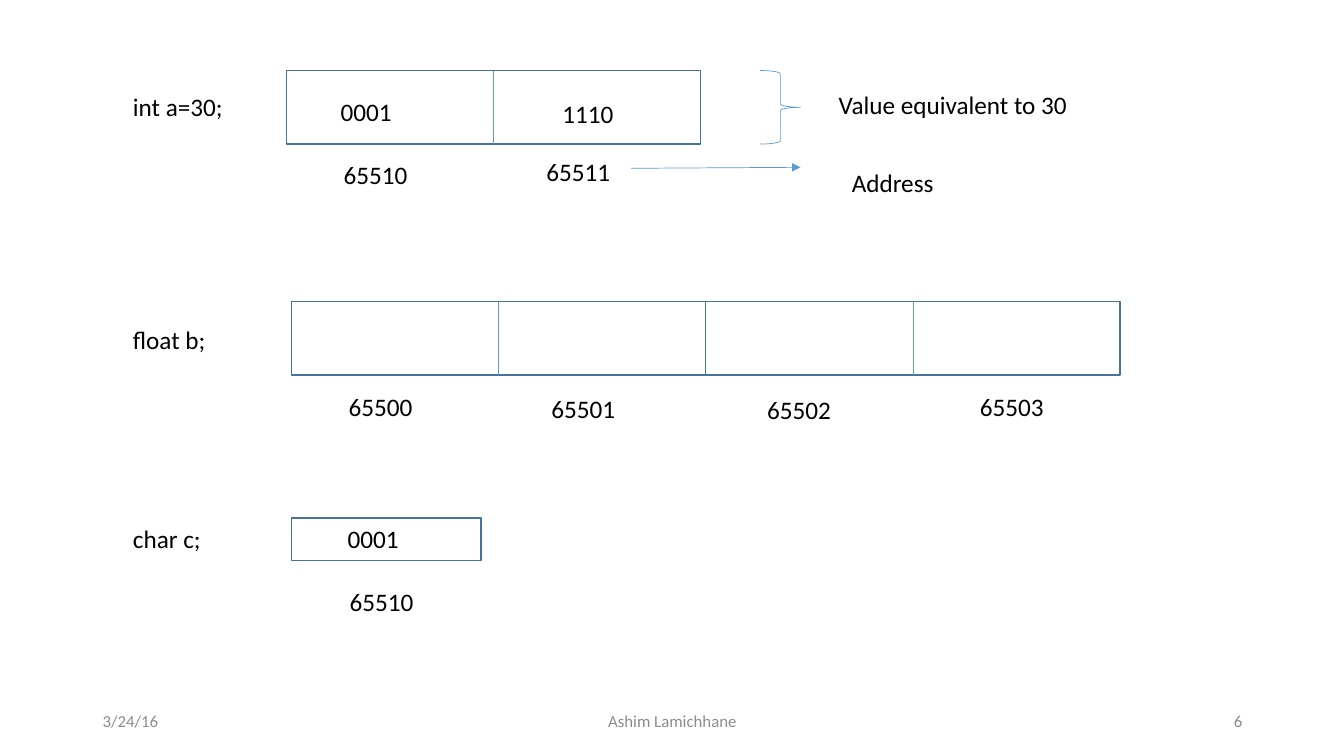
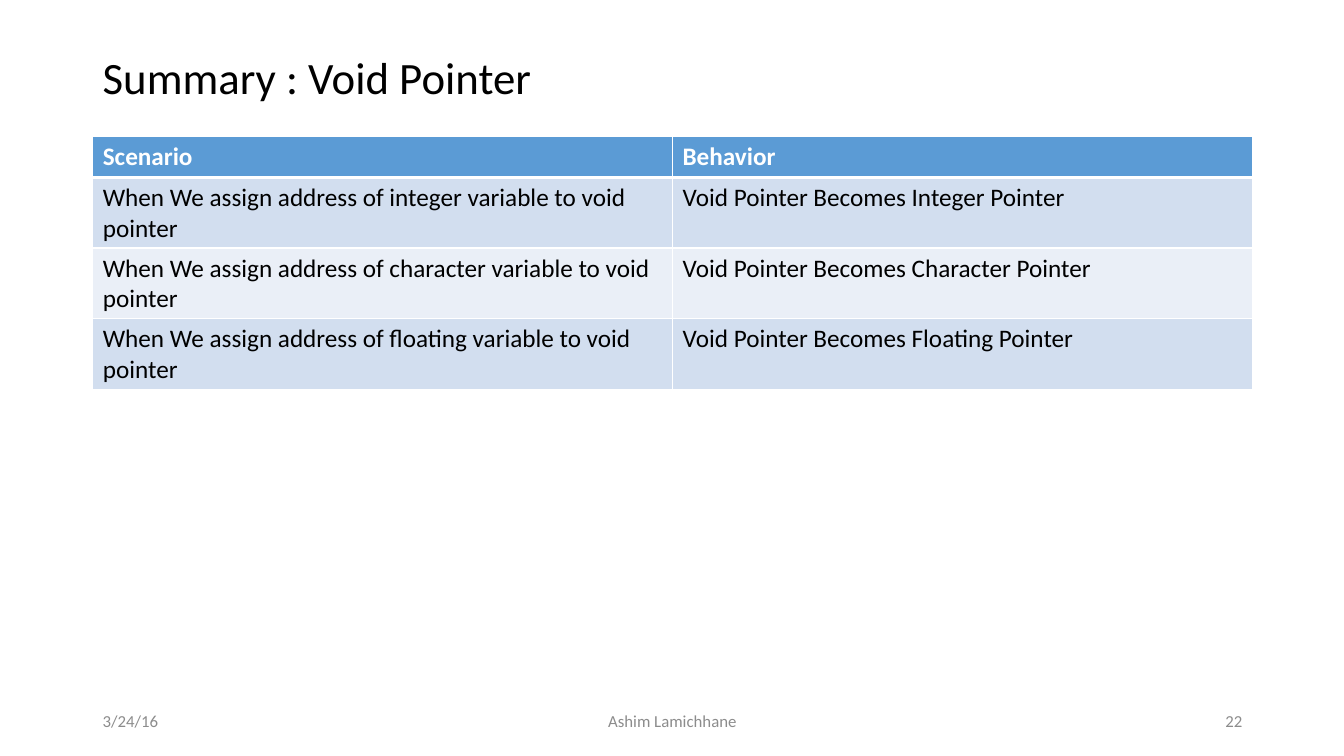
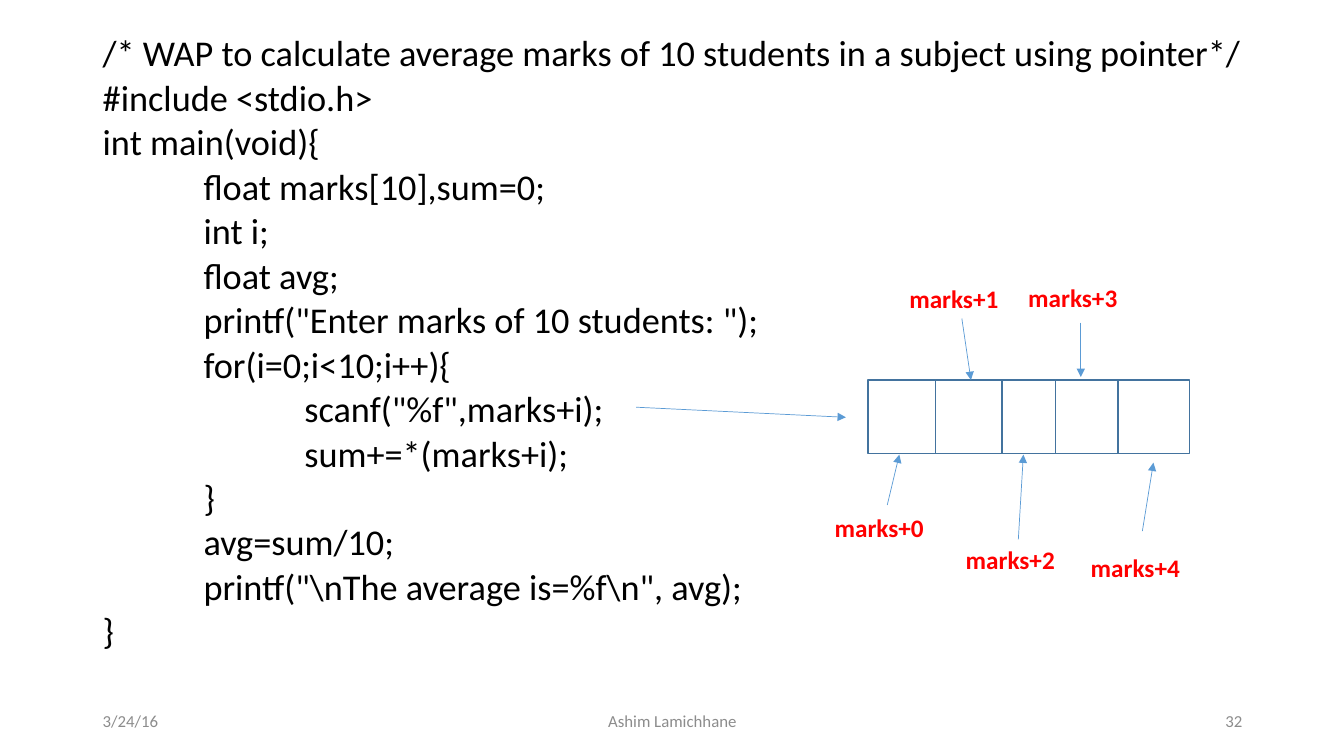
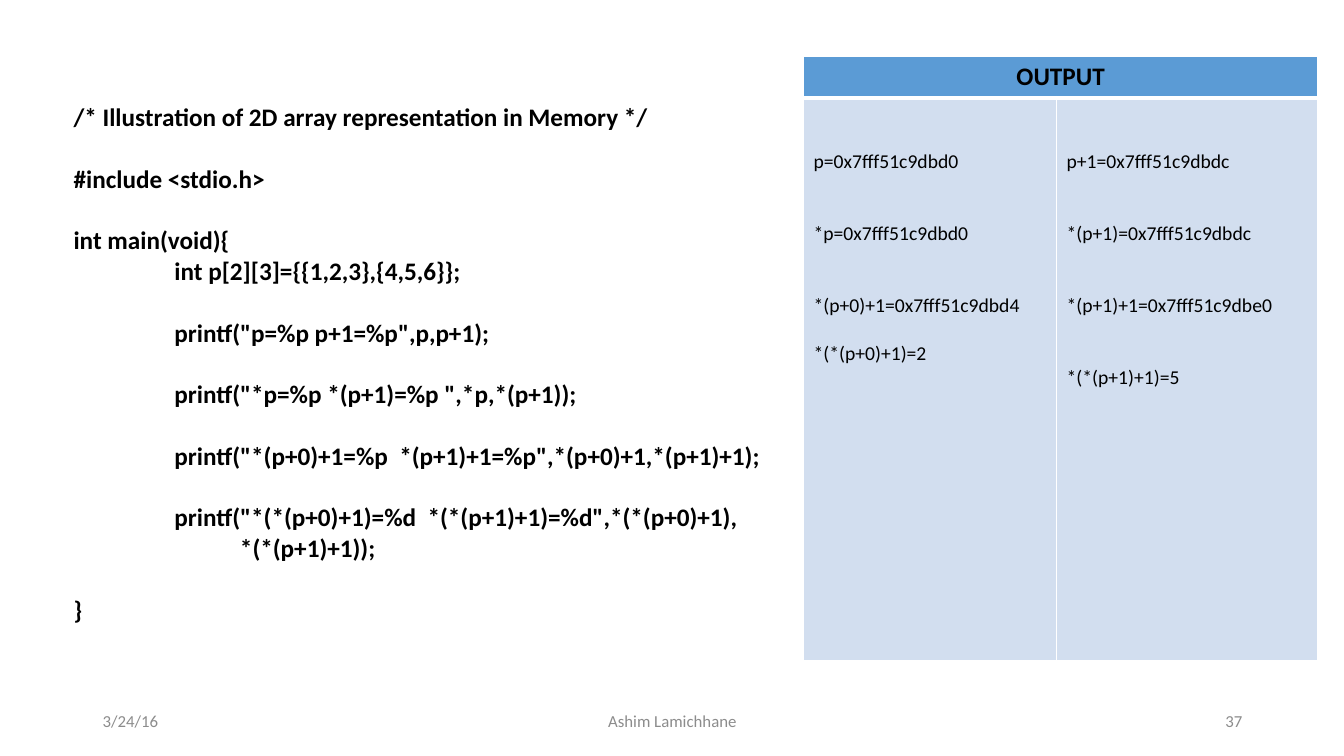
from lxml import etree
from pptx import Presentation
from pptx.dml.color import RGBColor
from pptx.enum import shapes, text
from pptx.oxml import ns
from pptx.util import Inches, Pt

FONT = "Calibri"
BLACK = RGBColor(0x00, 0x00, 0x00)
WHITE = RGBColor(0xFF, 0xFF, 0xFF)
GRAY = RGBColor(0x8C, 0x8C, 0x8C)
RED = RGBColor(0xFF, 0x00, 0x00)
BLUE = RGBColor(0x5B, 0x9B, 0xD5)
OUTLINE = RGBColor(0x43, 0x73, 0x9E)
BAND_DARK = RGBColor(0xD2, 0xDE, 0xEF)
BAND_LIGHT = RGBColor(0xEA, 0xEF, 0xF7)

LEFT, ALIGN_CENTER, RIGHT = text.PP_ALIGN.LEFT, text.PP_ALIGN.CENTER, text.PP_ALIGN.RIGHT
TOP, MIDDLE = text.MSO_ANCHOR.TOP, text.MSO_ANCHOR.MIDDLE
BLOCK_WIDTH = 4.11
BLOCK_HEIGHT = 0.73


def style(paragraph, size=18, color=BLACK, bold=False, align=LEFT):
    paragraph.alignment = align
    font = paragraph.font
    font.name, font.size, font.bold = FONT, Pt(size), bold
    font.color.rgb = color


def indent(paragraph, inches):
    properties = paragraph._p.get_or_add_pPr()
    properties.set("marL", str(Inches(inches)))
    properties.set("indent", "0")


def add_frame(slide, left, top, width, height, anchor=TOP):
    frame = slide.shapes.add_textbox(
        Inches(left), Inches(top), Inches(width), Inches(height)).text_frame
    frame.word_wrap = True
    frame.vertical_anchor = anchor
    return frame


def add_label(slide, label, left, top, width=1.3, height=0.4, anchor=TOP, **look):
    paragraph = add_frame(slide, left, top, width, height, anchor).paragraphs[0]
    paragraph.text = label
    style(paragraph, **look)
    return paragraph


def add_title(slide, title):
    add_label(slide, title, 0.92, 0.4, 11.5, 0.78, MIDDLE, size=32).line_spacing = 0.9


def add_footer(slide, number):
    for label, left, width, align in (
            ("3/24/16", 0.92, 3, LEFT),
            ("Ashim Lamichhane", 4.42, 4.5, ALIGN_CENTER),
            (str(number), 9.42, 3, RIGHT)):
        add_label(slide, label, left, 6.95, width, anchor=MIDDLE,
                  size=12, color=GRAY, align=align)


def add_outline(slide, left, top, width, height=BLOCK_HEIGHT,
                preset=shapes.MSO_SHAPE.RECTANGLE, color=OUTLINE, weight=1):
    outline = slide.shapes.add_shape(
        preset, Inches(left), Inches(top), Inches(width), Inches(height))
    outline.shadow.inherit = False
    outline.fill.background()
    outline.line.color.rgb = color
    outline.line.width = Pt(weight)


def add_line(slide, start, end, arrow=False):
    line = slide.shapes.add_connector(
        shapes.MSO_CONNECTOR.STRAIGHT, *(Inches(value) for value in (*start, *end)))
    line.line.color.rgb = BLUE
    line.line.width = Pt(0.5)
    if arrow:
        etree.SubElement(line.line._get_or_add_ln(), ns.qn("a:tailEnd"), type="triangle")
    etree.SubElement(line._element.spPr, ns.qn("a:effectLst"))


def add_split_block(slide, left, top):
    add_outline(slide, left, top, BLOCK_WIDTH)
    middle = left + BLOCK_WIDTH / 2
    add_line(slide, (middle, top), (middle, top + BLOCK_HEIGHT))


def add_grid(slide, left, top, widths, heights):
    grid = slide.shapes.add_table(
        len(heights), len(widths), Inches(left), Inches(top),
        Inches(sum(widths)), Inches(sum(heights))).table
    grid.first_row = grid.horz_banding = False
    for column, width in zip(grid.columns, widths):
        column.width = Inches(width)
    for row, height in zip(grid.rows, heights):
        row.height = Inches(height)
    return grid


def paint_cell(cell, fill=None, header=False, under_header=False):
    properties = cell._tc.get_or_add_tcPr()
    weights = {"lnL": 1, "lnR": 1, "lnT": 3 if under_header else 1, "lnB": 3 if header else 1}
    for side, weight in weights.items():
        border = etree.SubElement(properties, ns.qn("a:" + side), w=str(Pt(weight)))
        solid = etree.SubElement(border, ns.qn("a:solidFill"))
        etree.SubElement(solid, ns.qn("a:srgbClr"), val=str(WHITE))
    if fill is None:
        cell.fill.background()
    else:
        cell.fill.solid()
        cell.fill.fore_color.rgb = fill


def write_lines(frame, lines, **look):
    for position, (label, margin, gap) in enumerate(lines):
        paragraph = frame.add_paragraph() if position else frame.paragraphs[0]
        paragraph.text = label
        style(paragraph, **look)
        indent(paragraph, margin)
        paragraph.space_before = Pt(gap)


def build_memory(slide):
    add_split_block(slide, 2.84, 0.7)
    for left in (2.89, 2.89 + BLOCK_WIDTH):
        add_split_block(slide, left, 2.99)
    add_outline(slide, 2.89, 5.14, 1.88, 0.42)
    for label, left, top in (
            ("int a=30;", 1.22, 0.86), ("float b;", 1.22, 3.17), ("char c;", 1.22, 5.14),
            ("0001", 3.28, 0.91), ("1110", 5.48, 0.93),
            ("65510", 3.31, 1.53), ("65511", 5.32, 1.5),
            ("65500", 3.36, 3.83), ("65501", 5.37, 3.85),
            ("65502", 7.51, 3.86), ("65503", 9.62, 3.83),
            ("0001", 3.35, 5.14), ("65510", 3.37, 5.77), ("Address", 8.35, 1.61)):
        add_label(slide, label, left, top)
    add_label(slide, "Value equivalent to 30", 8.22, 0.84, 4.39)
    add_outline(slide, 7.54, 0.7, 0.4, preset=shapes.MSO_SHAPE.RIGHT_BRACE,
                color=BLUE, weight=0.5)
    add_line(slide, (6.26, 1.67), (7.94, 1.66), arrow=True)


def build_void_pointer(slide):
    add_title(slide, "Summary : Void Pointer")
    rows = [("Scenario", "Behavior")] + [
        (f"When We assign address of {kind} variable to void pointer",
         f"Void Pointer Becomes {pointer} Pointer")
        for kind, pointer in (("integer", "Integer"), ("character", "Character"),
                              ("floating", "Floating"))]
    grid = add_grid(slide, 0.92, 1.35, (5.75, 5.75), (0.41, 0.7, 0.7, 0.7))
    for r, row in enumerate(rows):
        header = r == 0
        fill = BLUE if header else BAND_DARK if r % 2 else BAND_LIGHT
        for c, label in enumerate(row):
            cell = grid.cell(r, c)
            paint_cell(cell, fill, header, r == 1)
            cell.text = label
            style(cell.text_frame.paragraphs[0], color=WHITE if header else BLACK, bold=header)


def build_average(slide):
    code = (
        (0, "/* WAP to calculate average marks of 10 students in a subject using pointer*/"),
        (0, "#include <stdio.h>"),
        (0, "int main(void){"),
        (1, "float marks[10],sum=0;"),
        (1, "int i;"),
        (1, "float avg;"),
        (1, 'printf("Enter marks of 10 students: ");'),
        (1, "for(i=0;i<10;i++){"),
        (2, 'scanf("%f",marks+i);'),
        (2, "sum+=*(marks+i);"),
        (1, "}"),
        (1, "avg=sum/10;"),
        (1, 'printf("\\nThe average is=%f\\n", avg);'),
        (0, "}"))
    frame = add_frame(slide, 0.92, 0.37, 11.89, 6.39)
    write_lines(frame, [(label, level, 10) for level, label in code], size=25.9)
    for paragraph in frame.paragraphs:
        paragraph.line_spacing = 0.7

    edges = (8.61, 9.28, 9.94, 10.47, 11.09, 11.8)
    for left, right in zip(edges, edges[1:]):
        add_outline(slide, left, 3.77, right - left)
    marks = (
        ((8.18, 5.03), (8.8, 5.01), (8.92, 4.51)),
        ((8.92, 2.76), (9.54, 3.16), (9.63, 3.77)),
        ((9.48, 5.35), (10.1, 5.35), (10.15, 4.51)),
        ((10.1, 2.75), (10.72, 3.2), (10.72, 3.74)),
        ((10.72, 5.43), (11.33, 5.27), (11.44, 4.59)))
    for offset, (place, start, end) in enumerate(marks):
        add_label(slide, f"marks+{offset}", *place, width=1.24, color=RED, bold=True)
        add_line(slide, start, end, arrow=True)
    add_line(slide, (6.31, 4.04), (8.39, 4.14), arrow=True)


def build_array(slide):
    code_gap, output_gap = 22, 34.2
    code = (
        ("/* Illustration of 2D array representation in Memory */", 0, 0),
        ("#include <stdio.h>", 0, code_gap),
        ("int main(void){", 0, code_gap),
        ("int p[2][3]={{1,2,3},{4,5,6}};", 1, 0),
        ('printf("p=%p p+1=%p",p,p+1);', 1, code_gap),
        ('printf("*p=%p *(p+1)=%p ",*p,*(p+1));', 1, code_gap),
        ('printf("*(p+0)+1=%p  *(p+1)+1=%p",*(p+0)+1,*(p+1)+1);', 1, code_gap),
        ('printf("*(*(p+0)+1)=%d  *(*(p+1)+1)=%d",*(*(p+0)+1),', 1, code_gap),
        ("*(*(p+1)+1));", 1.65, 0),
        ("}", 0, code_gap))
    outputs = (
        (("p=0x7fff51c9dbd0", 0, 0),
         ("*p=0x7fff51c9dbd0", 0, output_gap),
         ("*(p+0)+1=0x7fff51c9dbd4", 0, output_gap),
         ("*(*(p+0)+1)=2", 0, output_gap / 2)),
        (("p+1=0x7fff51c9dbdc", 0, 0),
         ("*(p+1)=0x7fff51c9dbdc", 0, output_gap),
         ("*(p+1)+1=0x7fff51c9dbe0", 0, output_gap),
         ("*(*(p+1)+1)=5", 0, output_gap)))
    grid = add_grid(slide, 0.63, 0.56, (7.34, 2.51, 2.59), (0.41, 5.58))
    for c, (head_fill, body_fill) in enumerate(
            ((None, None), (BLUE, BAND_DARK), (BLUE, BAND_DARK))):
        paint_cell(grid.cell(0, c), head_fill, header=True)
        paint_cell(grid.cell(1, c), body_fill, under_header=True)
    heading = grid.cell(0, 1)
    heading.merge(grid.cell(0, 2))
    heading.text = "OUTPUT"
    style(heading.text_frame.paragraphs[0], bold=True, align=ALIGN_CENTER)
    write_lines(grid.cell(1, 0).text_frame, code, bold=True)
    for c, lines in enumerate(outputs, 1):
        cell = grid.cell(1, c)
        cell.margin_top = Inches(0.52)
        write_lines(cell.text_frame, lines, size=14)


def main():
    deck = Presentation()
    deck.slide_width, deck.slide_height = Inches(13.33), Inches(7.5)
    for build, number in ((build_memory, 6), (build_void_pointer, 22),
                          (build_average, 32), (build_array, 37)):
        slide = deck.slides.add_slide(deck.slide_layouts[6])
        build(slide)
        add_footer(slide, number)
    deck.save("out.pptx")


if __name__ == "__main__":
    main()
